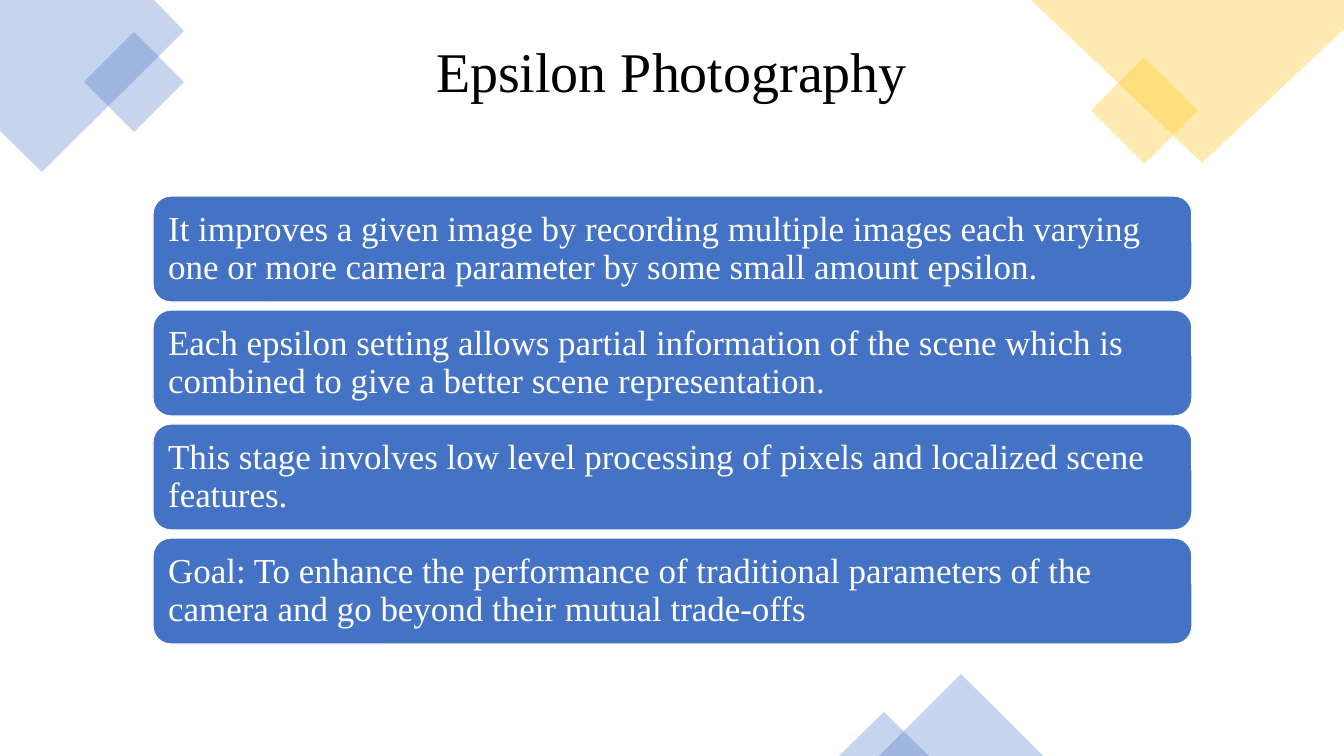
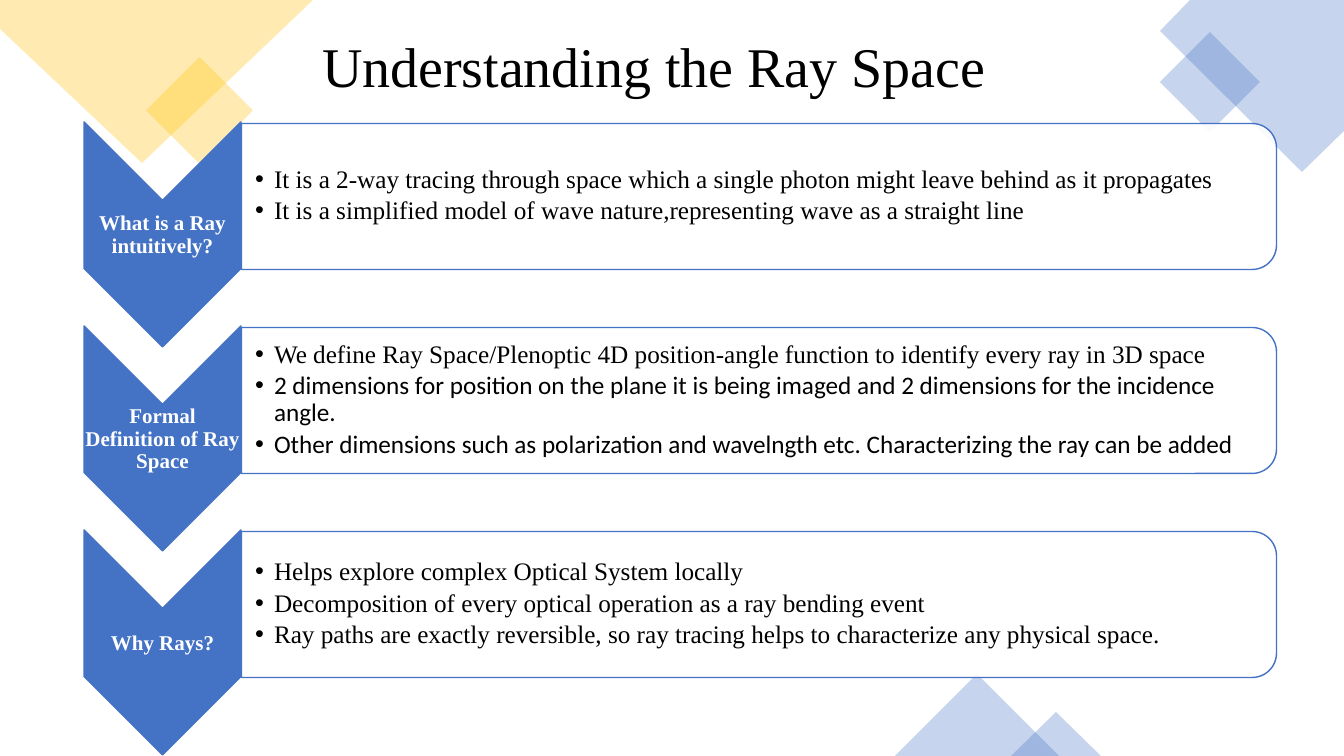
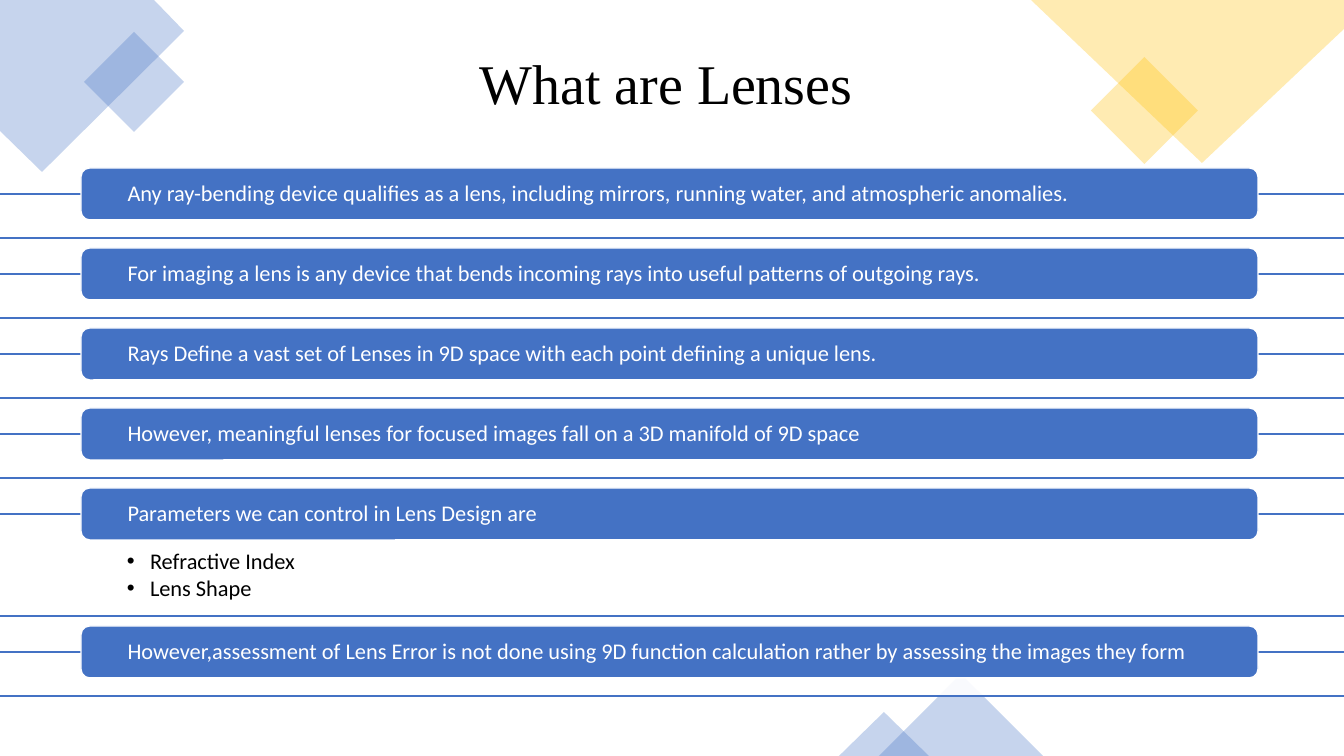
"""Build three slides about epsilon photography, the ray space and lenses."""
from dataclasses import dataclass
from typing import NamedTuple, Optional

from lxml.etree import SubElement
from pptx import Presentation
from pptx.dml.color import RGBColor
from pptx.enum.shapes import MSO_SHAPE
from pptx.enum.text import MSO_ANCHOR, MSO_AUTO_SIZE, PP_ALIGN
from pptx.oxml.ns import qn
from pptx.util import Pt

SLIDE_WIDTH, SLIDE_HEIGHT = 1344, 756
SCALE = 12192000 / SLIDE_WIDTH


@dataclass(frozen=True)
class Theme:
    blue: str = "4472C4"
    gold: str = "FFC000"
    white: str = "FFFFFF"
    black: str = "000000"
    serif: str = "Times New Roman"
    sans: str = "Calibri"
    title_size: int = 40
    card_size: int = 25
    list_size: int = 18
    row_size: int = 16
    label_size: int = 15
    line_width: int = 1
    tight: float = 0.9
    decor_alpha: int = 30
    panel_alpha: int = 90


THEME = Theme()


class Box(NamedTuple):
    left: int
    top: int
    width: int
    height: int


class Insets(NamedTuple):
    left: int = 0
    top: int = 0
    right: int = 0
    bottom: int = 0


@dataclass(frozen=True)
class Style:
    size: int
    font: str
    colour: str
    bold: bool = False
    align: PP_ALIGN = PP_ALIGN.LEFT
    anchor: MSO_ANCHOR = MSO_ANCHOR.MIDDLE
    spacing: float = THEME.tight
    gap: int = 0
    indent: int = 0


@dataclass(frozen=True)
class Corner:
    """A cut-off square with a small diamond over its edge."""
    colour: str
    outline: tuple
    diamond: Box


@dataclass(frozen=True)
class Item:
    text: str
    font: str = THEME.serif


@dataclass(frozen=True)
class Question:
    label: str
    items: tuple


@dataclass(frozen=True)
class Row:
    text: str
    panel_height: int = 44
    items: tuple = ()


TITLE = Style(THEME.title_size, THEME.serif, THEME.black, align=PP_ALIGN.CENTER,
              anchor=MSO_ANCHOR.TOP, spacing=1.0)
TITLE_LEFT = Style(THEME.title_size, THEME.serif, THEME.black)
CARD = Style(THEME.card_size, THEME.serif, THEME.white)
LABEL = Style(THEME.label_size, THEME.serif, THEME.white, bold=True, align=PP_ALIGN.CENTER)
ANSWER = Style(THEME.list_size, THEME.serif, THEME.black, gap=3, indent=19)
ROW = Style(THEME.row_size, THEME.sans, THEME.white)
ROW_LIST = Style(THEME.row_size, THEME.sans, THEME.black, anchor=MSO_ANCHOR.TOP,
                 gap=2, indent=23)
TITLE_INSETS = Insets(10, 5, 10, 5)

CORNERS = (
    Corner(THEME.blue, ((0, 0), (154, 0), (184, 31), (42, 172), (0, 131)),
           Box(84, 32, 100, 100)),
    Corner(THEME.gold, ((1031, 0), (1344, 0), (1344, 29), (1202, 163)),
           Box(1091, 57, 107, 107)),
)
PEAK_SIZES = ((164, 82), (90, 44))

CARDS = (
    "It improves a given image by recording multiple images each varying one or more "
    "camera parameter by some small amount epsilon.",
    "Each epsilon setting allows partial information of the scene which is combined to "
    "give a better scene representation.",
    "This stage involves low level processing of pixels and localized scene features.",
    "Goal: To enhance the performance of traditional parameters of the camera and go "
    "beyond their mutual trade-offs",
)

QUESTIONS = (
    Question("What is a Ray intuitively?", (
        Item("It is a 2-way tracing through space which a single photon might leave "
             "behind as it propagates"),
        Item("It is a simplified model of wave nature,representing wave as a straight line"),
    )),
    Question("Formal Definition of Ray Space", (
        Item("We define Ray Space/Plenoptic 4D position-angle function to identify every "
             "ray in 3D space"),
        Item("2 dimensions for position on the plane it is being imaged and 2 dimensions "
             "for the incidence angle.", THEME.sans),
        Item("Other dimensions such as polarization and wavelngth etc. Characterizing the "
             "ray can be added", THEME.sans),
    )),
    Question("Why Rays?", (
        Item("Helps explore complex Optical System locally"),
        Item("Decomposition of every optical operation as a ray bending event"),
        Item("Ray paths are exactly reversible, so ray tracing helps to characterize any "
             "physical space."),
    )),
)

ROWS = (
    Row("Any ray-bending device qualifies as a lens, including mirrors, running water, "
        "and atmospheric anomalies."),
    Row("For imaging a lens is any device that bends incoming rays into useful patterns "
        "of outgoing rays."),
    Row("Rays Define a vast set of Lenses in 9D space with each point defining a unique lens."),
    Row("However, meaningful lenses for focused images fall on a 3D manifold of 9D space"),
    Row("Parameters we can control in Lens Design are", 102,
        (Item("Refractive Index", THEME.sans), Item("Lens Shape", THEME.sans))),
    Row("However,assessment of Lens Error is not done using 9D function calculation rather "
        "by assessing the images they form"),
)


def px(length: float) -> int:
    """Turn px into EMU."""
    return round(length * SCALE)


def place(shape, box: Box) -> None:
    """Move and size a shape."""
    shape.left, shape.top, shape.width, shape.height = map(px, box)


def paint(shape, fill: str, alpha: int = 100, line: Optional[str] = None) -> None:
    """Give a shape a fill, an optional outline and no shadow."""
    shape.shadow.inherit = False
    shape.fill.solid()
    shape.fill.fore_color.rgb = RGBColor.from_string(fill)
    if alpha < 100:
        colour = shape.element.spPr.find(qn("a:solidFill"))[0]
        SubElement(colour, qn("a:alpha"), val=str(alpha * 1000))
    if line:
        shape.line.color.rgb = RGBColor.from_string(line)
        shape.line.width = Pt(THEME.line_width)
    else:
        shape.line.fill.background()


def add_preset(page, kind: MSO_SHAPE, box: Box, fill: str, alpha: int = 100,
               line: Optional[str] = None):
    """Add a painted preset shape."""
    shape = page.shapes.add_shape(kind, *map(px, box))
    paint(shape, fill, alpha, line)
    return shape


def add_turned(page, kind: MSO_SHAPE, box: Box, fill: str, alpha: int = 100) -> None:
    """Add a preset turned by a quarter so that it covers the given box."""
    shift = (box.width - box.height) // 2
    upright = Box(box.left + shift, box.top - shift, box.height, box.width)
    add_preset(page, kind, upright, fill, alpha, THEME.blue).rotation = 90


def write(shape, items: tuple, style: Style, insets: Insets = Insets()) -> None:
    """Write one paragraph per item, bulleted when the style has an indent."""
    frame = shape.text_frame
    frame.text = "\n".join(item.text for item in items)
    frame.word_wrap = True
    frame.auto_size = MSO_AUTO_SIZE.NONE
    frame.vertical_anchor = style.anchor
    frame.margin_left, frame.margin_top, frame.margin_right, frame.margin_bottom = map(px, insets)
    for index, (para, item) in enumerate(zip(frame.paragraphs, items)):
        para.alignment = style.align
        para.line_spacing = style.spacing
        para.space_before = Pt(style.gap if index else 0)
        para.space_after = Pt(0)
        if style.indent:
            properties = para._p.get_or_add_pPr()
            properties.set("marL", str(px(style.indent)))
            properties.set("indent", str(-px(style.indent)))
            SubElement(properties, qn("a:buFont"), typeface="Arial")
            SubElement(properties, qn("a:buChar"), char="•")
        for span in para.runs:
            span.font.name = item.font
            span.font.size = Pt(style.size)
            span.font.bold = style.bold
            span.font.color.rgb = RGBColor.from_string(style.colour)


def write_line(shape, text: str, style: Style, insets: Insets = Insets()) -> None:
    """Write a single paragraph in the font of its style."""
    write(shape, (Item(text, style.font),), style, insets)


def add_corner(page, corner: Corner, mirrored: bool) -> None:
    """Draw one corner ornament, mirrored across the slide if asked."""
    points, diamond = corner.outline, corner.diamond
    if mirrored:
        points = tuple((SLIDE_WIDTH - x, y) for x, y in points)
        diamond = diamond._replace(left=SLIDE_WIDTH - diamond.left - diamond.width)
    builder = page.shapes.build_freeform(*points[0], scale=SCALE)
    builder.add_line_segments(points[1:], close=True)
    paint(builder.convert_to_shape(), corner.colour, THEME.decor_alpha)
    add_preset(page, MSO_SHAPE.DIAMOND, diamond, corner.colour, THEME.decor_alpha)


def add_page(deck, layout: int, title: str, box: Box, style: Style,
             peaks: tuple, mirrored: bool = False):
    """Add a slide with its title and ornaments."""
    page = deck.slides.add_slide(deck.slide_layouts[layout])
    place(page.shapes.title, box)
    write_line(page.shapes.title, title, style, TITLE_INSETS)
    for corner in CORNERS:
        add_corner(page, corner, mirrored)
    for left, (width, height) in zip(peaks, PEAK_SIZES):
        add_preset(page, MSO_SHAPE.ISOSCELES_TRIANGLE,
                   Box(left, SLIDE_HEIGHT - height, width, height),
                   THEME.blue, THEME.decor_alpha)
    return page


def add_card(page, box: Box, text: str, style: Style, inset: int) -> None:
    """Add a blue rounded card with text."""
    card = add_preset(page, MSO_SHAPE.ROUNDED_RECTANGLE, box, THEME.blue, line=THEME.white)
    write_line(card, text, style, Insets(left=inset, right=inset))


def add_list(body, box: Box, items: tuple, style: Style, insets: Insets) -> None:
    """Bring a body placeholder to the front and fill it with a list."""
    body.element.getparent().append(body.element)
    place(body, box)
    write(body, items, style, insets)


def build_epsilon(deck) -> None:
    """Build the slide with four cards."""
    page = add_page(deck, 5, "Epsilon Photography", Box(175, 32, 993, 78), TITLE, (879, 839))
    for index, text in enumerate(CARDS):
        add_card(page, Box(153, 196 + 114 * index, 1039, 106), text, CARD, 10)


def build_ray_space(deck) -> None:
    """Build the slide with three chevrons and their lists."""
    page = add_page(deck, 4, "Understanding the Ray Space", Box(312, 7, 760, 125),
                    TITLE_LEFT, (895, 1011), mirrored=True)
    bodies = [body for body in page.placeholders if body.placeholder_format.idx]
    for index, (question, body) in enumerate(zip(QUESTIONS, bodies)):
        top = 122 + 204 * index
        add_turned(page, MSO_SHAPE.CHEVRON, Box(84, top, 157, 225), THEME.blue)
        label = page.shapes.add_textbox(*map(px, Box(84, top + 80, 157, 67)))
        write_line(label, question.label, LABEL)
        add_turned(page, MSO_SHAPE.ROUND_2_SAME_RECTANGLE, Box(242, top + 1, 1035, 146),
                   THEME.white, THEME.panel_alpha)
        add_list(body, Box(241, top + 8, 1028, 132), question.items, ANSWER,
                 Insets(14, 1, 1, 1))
    for body in bodies[len(QUESTIONS):]:
        body.element.getparent().remove(body.element)


def build_lenses(deck) -> None:
    """Build the slide with six rows, one of them holding a list."""
    page = add_page(deck, 1, "What are Lenses", Box(3, 43, 1326, 78), TITLE, (879, 839))
    top = 168
    for row in ROWS:
        panel = Box(-3, top + 26, SLIDE_WIDTH + 6, row.panel_height)
        if row.items:
            body = page.placeholders[1]
            add_list(body, panel, row.items, ROW_LIST, Insets(130, 36, 130, 12))
            paint(body, THEME.white, THEME.panel_alpha, THEME.blue)
        else:
            add_preset(page, MSO_SHAPE.RECTANGLE, panel, THEME.white, THEME.panel_alpha,
                       THEME.blue)
        add_card(page, Box(81, top, 1177, 52), row.text, ROW, 44)
        top += row.panel_height + 36


def main() -> None:
    """Build and save the deck."""
    deck = Presentation()
    deck.slide_width, deck.slide_height = px(SLIDE_WIDTH), px(SLIDE_HEIGHT)
    build_epsilon(deck)
    build_ray_space(deck)
    build_lenses(deck)
    deck.save("out.pptx")


if __name__ == "__main__":
    main()
